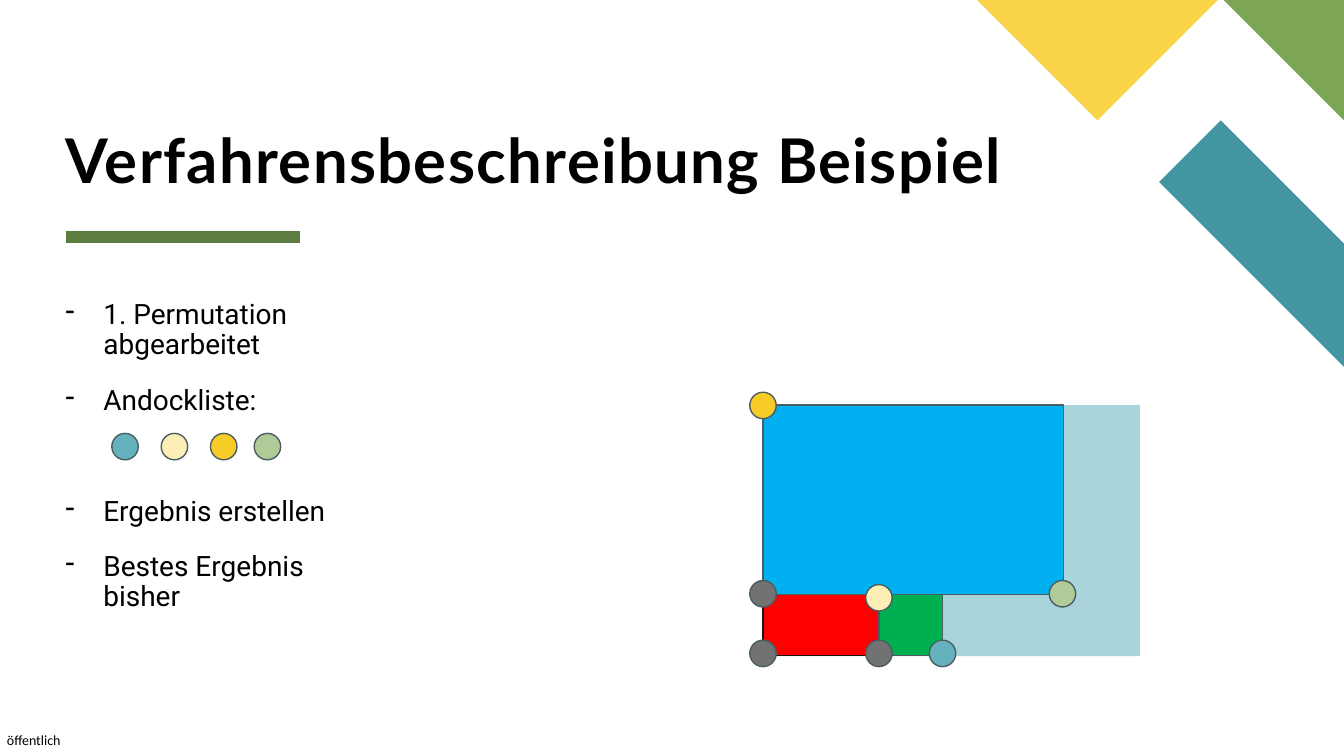
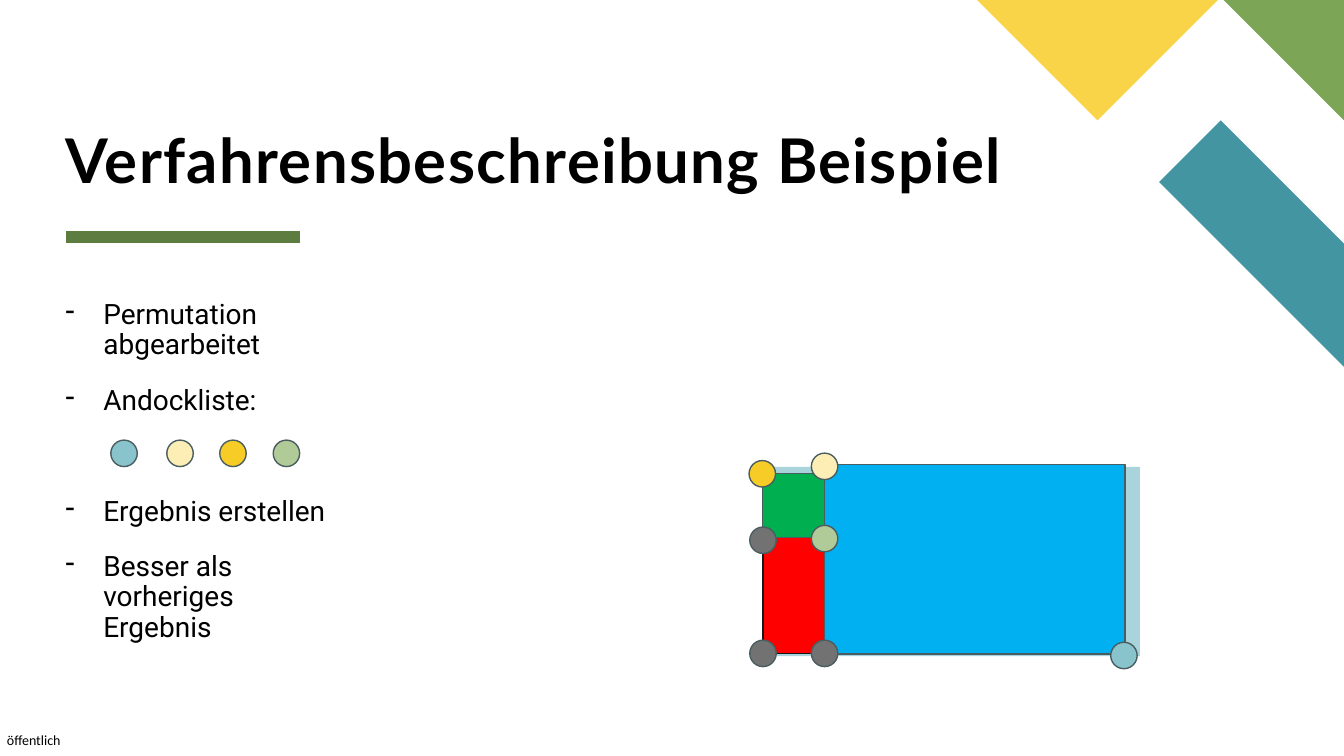
from dataclasses import dataclass

from lxml import etree
from pptx import Presentation
from pptx.dml.color import RGBColor
from pptx.enum.shapes import MSO_CONNECTOR, MSO_SHAPE
from pptx.enum.text import MSO_ANCHOR
from pptx.oxml.ns import qn
from pptx.util import Pt

RECTANGLE, OVAL = MSO_SHAPE.RECTANGLE, MSO_SHAPE.OVAL
STRAIGHT = MSO_CONNECTOR.STRAIGHT
TOP, BOTTOM = MSO_ANCHOR.TOP, MSO_ANCHOR.BOTTOM


@dataclass(frozen=True)
class Theme:
    text: str = "000000"
    teal_band: str = "4495A2"
    green_band: str = "7CA655"
    yellow_band: str = "F9D448"
    rule: str = "5D7D40"
    field: str = "A9D4DB"
    red: str = "FF0000"
    green: str = "00B050"
    blue: str = "00B0F0"
    outline: str = "4A5D60"
    dark_outline: str = "171717"
    used: str = "727272"
    teal: str = "65B2BE"
    light_teal: str = "89C4CD"
    cream: str = "FDEEB5"
    yellow: str = "F8CC27"
    sage: str = "B0CA98"
    title_size: int = 44
    body_size: int = 20
    footer_size: int = 10


THEME = Theme()
LEFT = 46.8
DOT = 18.9
BULLET_INDENT = 27
BULLET_GAP = 18
DOT_ROW_GAP = 57.6  # leaves one line free for the row of docking points

BANDS = [
    (THEME.teal_band, [(960, 262), (960, 173.5), (872.5, 86), (828.5, 130)]),
    (THEME.green_band, [(960, 86), (960, 0), (874.5, 0)]),
    (THEME.yellow_band, [(698.4, 0), (784.3, 86), (870.4, 0)]),
]

# blocks: fill, outline, left, top, width, height
# docks: fill, centre x, centre y
STEPS = [
    {
        "bullets": ["1. Permutation abgearbeitet", "Andockliste:",
                    "Ergebnis erstellen", "Bestes Ergebnis bisher"],
        "blocks": [
            (THEME.field, None, 545, 289.4, 269.3, 179.3),
            (THEME.red, THEME.dark_outline, 545, 424.4, 82.8, 43.9),
            (THEME.green, THEME.outline, 627.8, 424.4, 45.4, 43.9),
            (THEME.blue, THEME.outline, 545, 289.4, 214.6, 135.2),
        ],
        "docks": [
            (THEME.used, 545, 466.7), (THEME.used, 627.8, 466.7),
            (THEME.used, 545, 424.1), (THEME.teal, 673.2, 466.7),
            (THEME.cream, 627.8, 427), (THEME.yellow, 545, 289.6),
            (THEME.sage, 758.9, 424.1),
        ],
        "dock_list": [THEME.teal, THEME.cream, THEME.yellow, THEME.sage],
        "list_x": [89.3, 124.6, 159.8, 191],
        "list_y": 319,
    },
    {
        "bullets": ["Permutation abgearbeitet", "Andockliste:",
                    "Ergebnis erstellen", "Besser als vorheriges Ergebnis"],
        "blocks": [
            (THEME.field, None, 545, 333.4, 269.3, 135.3),
            (THEME.red, THEME.dark_outline, 545, 384, 43.9, 82.8),
            (THEME.blue, THEME.outline, 589, 331.9, 214.6, 135.2),
            (THEME.green, THEME.outline, 544.6, 338.4, 44.2, 45.4),
        ],
        "docks": [
            (THEME.used, 545, 466.7), (THEME.used, 589, 466.7),
            (THEME.used, 545, 385.9), (THEME.light_teal, 802.8, 468.2),
            (THEME.cream, 589, 333.1), (THEME.yellow, 544.5, 338.4),
            (THEME.sage, 589, 384.7),
        ],
        "dock_list": [THEME.light_teal, THEME.cream, THEME.yellow, THEME.sage],
        "list_x": [88.6, 128.6, 166.4, 204.6],
        "list_y": 323.8,
    },
]


def write(slide, lines, left, top, width, height, *, font, size, bold=False,
          tracking=0, line_spacing=1.0, gaps=None, bullet=None, anchor=TOP,
          insets=(0, 0, 0, 0), wrap=True):
    """Add a text box with one paragraph per line; gaps are spaces before."""
    frame = slide.shapes.add_textbox(Pt(left), Pt(top), Pt(width), Pt(height)).text_frame
    frame.word_wrap = wrap
    frame.vertical_anchor = anchor
    (frame.margin_left, frame.margin_top,
     frame.margin_right, frame.margin_bottom) = map(Pt, insets)
    for index, line in enumerate(lines):
        paragraph = frame.add_paragraph() if index else frame.paragraphs[0]
        paragraph.line_spacing = line_spacing
        paragraph.space_before = Pt(gaps[index] if gaps else 0)
        if bullet:
            properties = paragraph._p.get_or_add_pPr()
            properties.set("marL", str(Pt(BULLET_INDENT)))
            properties.set("indent", str(-Pt(BULLET_INDENT)))
            etree.SubElement(properties, qn("a:buChar")).set("char", bullet)
        run = paragraph.add_run()
        run.text = line
        run.font.name = font
        run.font.size = Pt(size)
        run.font.bold = bold
        run.font.color.rgb = RGBColor.from_string(THEME.text)
        if tracking:
            run._r.get_or_add_rPr().set("spc", str(tracking * 100))


def paint(shape, fill, outline=None):
    shape.shadow.inherit = False
    shape.fill.solid()
    shape.fill.fore_color.rgb = RGBColor.from_string(fill)
    if outline:
        shape.line.color.rgb = RGBColor.from_string(outline)
        shape.line.width = Pt(1)
    else:
        shape.line.fill.background()


deck = Presentation()
deck.slide_width, deck.slide_height = Pt(960), Pt(540)

for step in STEPS:
    slide = deck.slides.add_slide(deck.slide_layouts[6])

    write(slide, ["öffentlich"], 5, 522.7, 41, 12.2,
          font="Calibri", size=THEME.footer_size, wrap=False)
    for color, corners in BANDS:
        outline = slide.shapes.build_freeform(*corners[0], scale=Pt(1))
        outline.add_line_segments(corners[1:], close=True)
        paint(outline.convert_to_shape(), color)
    title_rule = slide.shapes.add_connector(
        STRAIGHT, Pt(LEFT), Pt(169.3), Pt(214.6), Pt(169.3))
    title_rule.line.color.rgb = RGBColor.from_string(THEME.rule)
    title_rule.line.width = Pt(8)
    etree.SubElement(title_rule._element.spPr, qn("a:effectLst"))

    write(slide, ["Verfahrensbeschreibung Beispiel"], LEFT, 15.8, 864, 123.8,
          font="Lato", size=THEME.title_size, bold=True, tracking=1,
          line_spacing=0.8, anchor=BOTTOM)
    write(slide, step["bullets"], LEFT, 211, 198.7, 283,
          font="Roboto", size=THEME.body_size, line_spacing=0.9, bullet="-",
          gaps=[BULLET_GAP, BULLET_GAP, DOT_ROW_GAP, BULLET_GAP],
          insets=(0, 3.6, 7.2, 3.6))

    for fill, border, *box in step["blocks"]:
        paint(slide.shapes.add_shape(RECTANGLE, *map(Pt, box)), fill, border)
    listed = [(fill, x, step["list_y"])
              for fill, x in zip(step["dock_list"], step["list_x"])]
    for fill, x, y in step["docks"] + listed:
        dock = slide.shapes.add_shape(
            OVAL, Pt(x - DOT / 2), Pt(y - DOT / 2), Pt(DOT), Pt(DOT))
        paint(dock, fill, THEME.outline)

deck.save("out.pptx")
